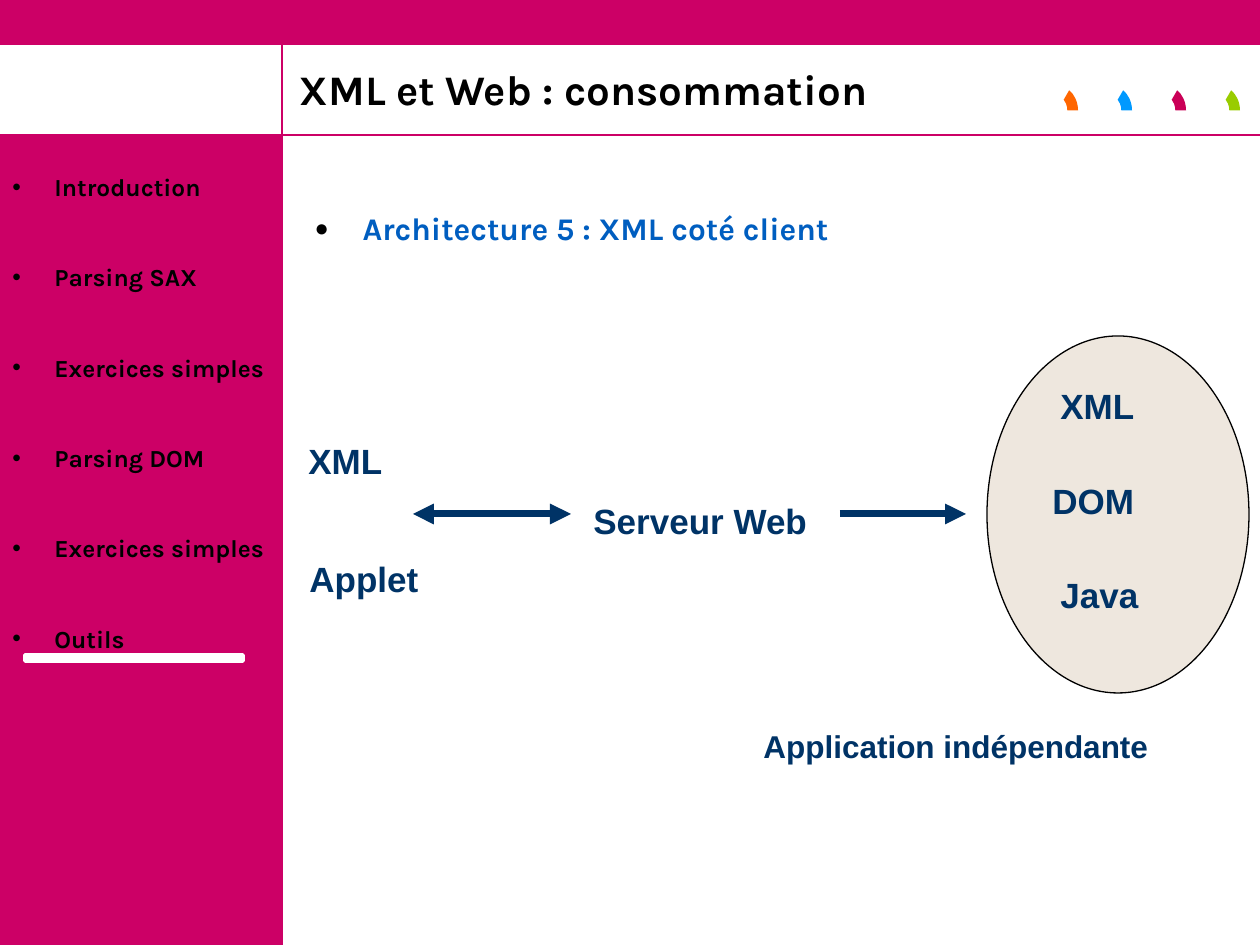
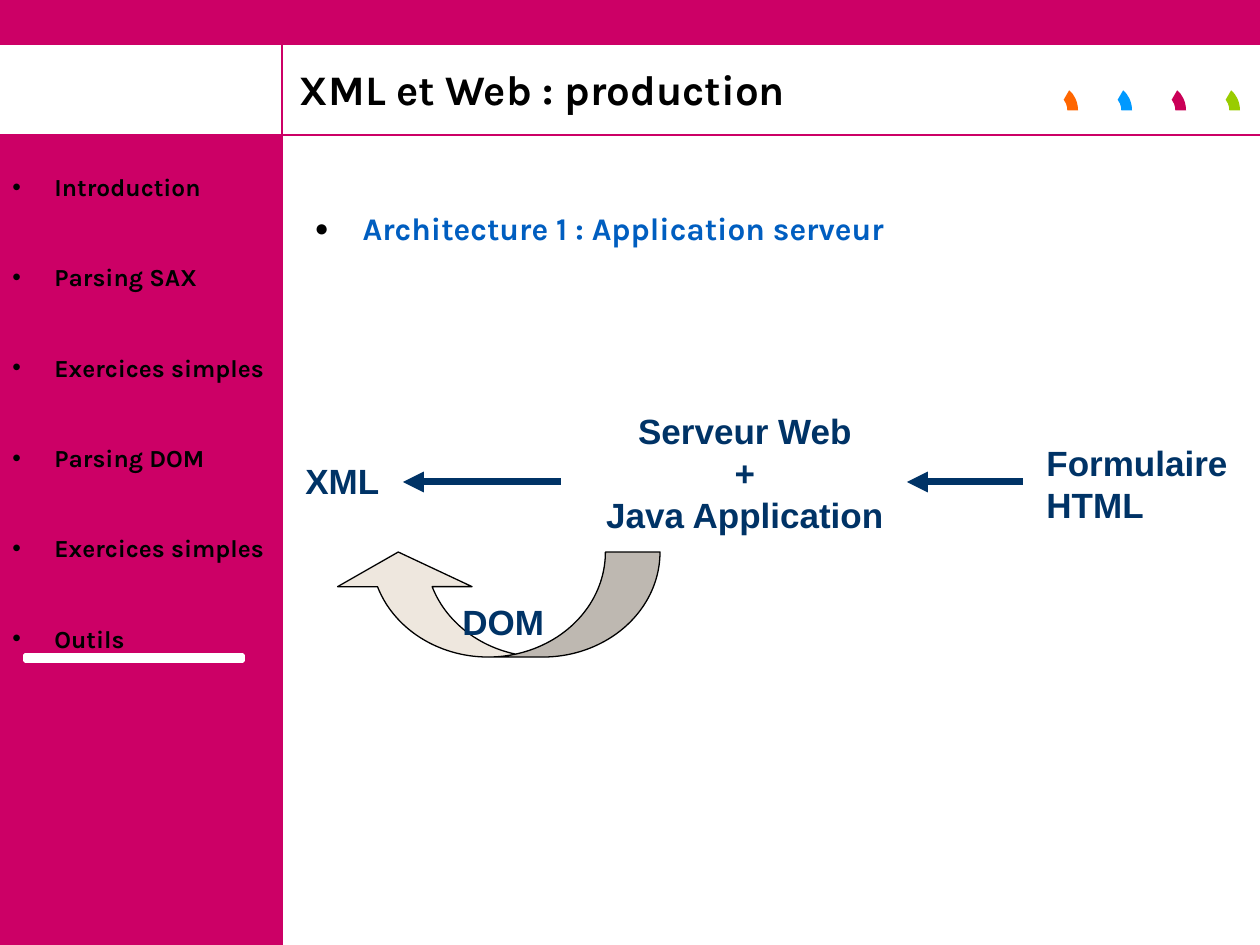
"""Build two course slides on XML and the Web with a shared magenta frame."""
from dataclasses import dataclass

from lxml import etree
from pptx import Presentation
from pptx.dml.color import RGBColor
from pptx.enum.shapes import MSO_CONNECTOR, MSO_SHAPE
from pptx.enum.text import MSO_ANCHOR, MSO_AUTO_SIZE, PP_ALIGN
from pptx.oxml.ns import qn
from pptx.util import Emu, Pt

RECT, OVAL = MSO_SHAPE.RECTANGLE, MSO_SHAPE.OVAL
ARC, CURVED_ARROW = MSO_SHAPE.BLOCK_ARC, MSO_SHAPE.CURVED_LEFT_ARROW
STRAIGHT = MSO_CONNECTOR.STRAIGHT
LEFT, CENTER = PP_ALIGN.LEFT, PP_ALIGN.CENTER
TOP, BOTTOM = MSO_ANCHOR.TOP, MSO_ANCHOR.BOTTOM
NO_FIT = MSO_AUTO_SIZE.NONE

PX_PER_INCH = 126
WIDTH, HEIGHT = 1260, 945
BAND_H, SIDEBAR_W, RULE_Y = 45, 282, 135
ARC_X, ARC_STEP = 1037, 54


@dataclass(frozen=True)
class Theme:
    """Colours, fonts and type sizes of the deck."""

    band: str = "CC0066"
    text: str = "000000"
    heading: str = "005EC0"
    diagram: str = "003366"
    shape: str = "EEE7DE"
    paper: str = "FFFFFF"
    arcs: tuple[str, ...] = ("FF6600", "0099FF", "CA0057", "99CC00")
    text_font: str = "Karla"
    diagram_font: str = "Arial"
    title_size: int = 24
    heading_size: int = 18
    menu_size: int = 14
    label_size: int = 20
    caption_size: int = 18
    hairline: float = 0.75
    arrow: int = 4


@dataclass(frozen=True)
class Box:
    """Position and size in px."""

    x: int
    y: int
    w: int
    h: int

    def emu(self) -> tuple[Emu, ...]:
        """Return the four lengths in EMU."""
        return px(self.x), px(self.y), px(self.w), px(self.h)


@dataclass(frozen=True)
class Bullet:
    """Bullet character, relative size and hanging indent in px."""

    char: str
    percent: int
    indent: int


@dataclass(frozen=True)
class Figure:
    """Preset shape of a diagram."""

    kind: int
    box: Box
    adjustments: tuple[float, ...] = ()
    rotation: int = 0


@dataclass(frozen=True)
class Label:
    """Lines of diagram text."""

    lines: tuple[str, ...]
    box: Box
    size: int = Theme.label_size
    align: int = LEFT


@dataclass(frozen=True)
class Arrow:
    """Horizontal arrow with a head at either end."""

    x1: int
    x2: int
    y: int
    at_start: bool = False
    at_end: bool = False


@dataclass(frozen=True)
class Page:
    """Content of one slide."""

    title: str
    heading: str
    figures: tuple[Figure, ...]
    labels: tuple[Label, ...]
    arrows: tuple[Arrow, ...]


THEME = Theme()
TITLE_BOX = Box(287, 60, 924, 61)
BODY_BOX = Box(302, 203, 932, 742)
MENU_BOX = Box(0, 166, 292, 509)
MENU_BULLET, BODY_BULLET = Bullet("•", 100, 42), Bullet("●", 75, 48)
MENU = ("Introduction", "Parsing SAX", "Exercices simples",
        "Parsing DOM", "Exercices simples", "Outils")

PAGES = (
    Page(
        "XML et Web : consommation",
        "Architecture 5 : XML coté client",
        (Figure(OVAL, Box(987, 336, 262, 357)),),
        (
            Label(("XML",), Box(296, 433, 100, 55)),
            Label(("Serveur Web",), Box(581, 493, 239, 55)),
            Label(("XML",), Box(1048, 378, 100, 55)),
            Label(("DOM",), Box(1040, 473, 107, 55)),
            Label(("Applet",), Box(297, 551, 134, 55)),
            Label(("Java",), Box(1048, 567, 103, 55)),
            Label(("Application indépendante",), Box(751, 721, 410, 50),
                  THEME.caption_size),
        ),
        (Arrow(413, 571, 514, True, True), Arrow(840, 966, 514, at_end=True)),
    ),
    Page(
        "XML et Web : production",
        "Architecture 1 : Application serveur",
        (Figure(CURVED_ARROW, Box(443, 440, 105, 329), (0.52, 1.28, 0.33), 90),),
        (
            Label(("XML",), Box(293, 453, 100, 55)),
            Label(("Serveur Web", "+", "Java Application"),
                  Box(593, 403, 304, 139), align=CENTER),
            Label(("Formulaire", "HTML"), Box(1034, 435, 207, 97)),
            Label(("DOM",), Box(450, 594, 107, 55)),
        ),
        (Arrow(403, 561, 482, True), Arrow(907, 1023, 482, True)),
    ),
)


def px(n: int) -> Emu:
    """Turn px into EMU."""
    return Emu(round(n * 914400 / PX_PER_INCH))


def rgb(color: str) -> RGBColor:
    """Turn a hex string into a colour."""
    return RGBColor.from_string(color)


def add_bullet(p, bullet: Bullet) -> None:
    """Give a paragraph a bullet with a hanging indent."""
    pPr = p._p.get_or_add_pPr()
    pPr.set("marL", str(px(bullet.indent)))
    pPr.set("indent", str(-px(bullet.indent)))
    color = etree.SubElement(pPr, qn("a:buClr"))
    etree.SubElement(color, qn("a:srgbClr"), val=THEME.text)
    etree.SubElement(pPr, qn("a:buSzPct"), val=str(bullet.percent * 1000))
    etree.SubElement(pPr, qn("a:buFont"), typeface=THEME.diagram_font)
    etree.SubElement(pPr, qn("a:buChar"), char=bullet.char)


def write(tf, lines: tuple[str, ...], *, font: str, size: int, color: str,
          align: int = LEFT, anchor: int = TOP, wrap: bool = True,
          gap: float = 0, spacing: float = 1.0,
          bullet: Bullet | None = None) -> None:
    """Fill a text frame with bold lines in one format."""
    tf.word_wrap, tf.auto_size, tf.vertical_anchor = wrap, NO_FIT, anchor
    for i, line in enumerate(lines):
        p = tf.add_paragraph() if i else tf.paragraphs[0]
        p.alignment, p.line_spacing = align, spacing
        p.space_before = Pt(gap if i else 0)
        if bullet:
            add_bullet(p, bullet)
        r = p.add_run()
        r.text = line
        r.font.name, r.font.size, r.font.bold = font, Pt(size), True
        r.font.color.rgb = rgb(color)


def add_figure(s, figure: Figure, fill: str, line: str | None = None,
               width: float = THEME.hairline) -> None:
    """Draw a filled preset shape."""
    sp = s.shapes.add_shape(figure.kind, *figure.box.emu())
    sp.shadow.inherit = False
    sp.rotation = figure.rotation
    for i, value in enumerate(figure.adjustments):
        sp.adjustments[i] = value
    sp.fill.solid()
    sp.fill.fore_color.rgb = rgb(fill)
    if line:
        sp.line.color.rgb = rgb(line)
        sp.line.width = Pt(width)
    else:
        sp.line.fill.background()


def add_line(s, x1: int, y1: int, x2: int, y2: int, color: str, width: float,
             at_start: bool = False, at_end: bool = False) -> None:
    """Draw a straight line with optional arrowheads."""
    cxn = s.shapes.add_connector(STRAIGHT, px(x1), px(y1), px(x2), px(y2))
    cxn.line.color.rgb = rgb(color)
    cxn.line.width = Pt(width)
    spPr = cxn.element.spPr
    for tag, wanted in (("a:headEnd", at_start), ("a:tailEnd", at_end)):
        if wanted:
            etree.SubElement(spPr.find(qn("a:ln")), qn(tag), type="triangle")
    etree.SubElement(spPr, qn("a:effectLst"))


def add_text(s, box: Box, lines: tuple[str, ...], **style) -> None:
    """Add a text box with formatted lines."""
    write(s.shapes.add_textbox(*box.emu()).text_frame, lines, **style)


def draw_frame(s) -> None:
    """Draw the bands, rules, arcs and menu shared by all slides."""
    for box in (Box(0, RULE_Y, SIDEBAR_W, HEIGHT - RULE_Y),
                Box(0, 0, WIDTH, BAND_H)):
        add_figure(s, Figure(RECT, box), THEME.band)
    add_line(s, 0, RULE_Y, WIDTH, RULE_Y, THEME.band, THEME.hairline)
    add_line(s, SIDEBAR_W, 0, SIDEBAR_W, HEIGHT, THEME.band, THEME.hairline)
    for i, color in enumerate(THEME.arcs):
        box = Box(ARC_X + i * ARC_STEP, 86, 41, 49)
        add_figure(s, Figure(ARC, box, (180, 0, 0.26)), color)
    add_text(s, MENU_BOX, MENU, font=THEME.text_font, size=THEME.menu_size,
             color=THEME.text, gap=34.8, bullet=MENU_BULLET)
    add_figure(s, Figure(RECT, Box(25, 655, 218, 6)), THEME.paper, THEME.paper, 2)


def set_up_layout(layout, s) -> None:
    """Move the frame to the layout and place its title and body."""
    for sp in list(layout.placeholders):
        idx = sp.placeholder_format.idx
        if idx > 1:
            sp.element.getparent().remove(sp.element)
            continue
        box = BODY_BOX if idx else TITLE_BOX
        sp.left, sp.top, sp.width, sp.height = box.emu()
    draw_frame(s)
    tree = layout.element.cSld.spTree
    for sp in list(s.shapes):
        if not sp.is_placeholder:
            tree.append(sp.element)


def draw_page(s, page: Page) -> None:
    """Write the title and heading and draw the diagram."""
    write(s.shapes.title.text_frame, (page.title,), font=THEME.text_font,
          size=THEME.title_size, color=THEME.text, anchor=BOTTOM, spacing=0.9)
    write(s.placeholders[1].text_frame, (page.heading,), font=THEME.text_font,
          size=THEME.heading_size, color=THEME.heading, bullet=BODY_BULLET)
    for figure in page.figures:
        add_figure(s, figure, THEME.shape, THEME.text)
    for label in page.labels:
        add_text(s, label.box, label.lines, font=THEME.diagram_font,
                 size=label.size, color=THEME.diagram, align=label.align, wrap=False)
    for arrow in page.arrows:
        add_line(s, arrow.x1, arrow.y, arrow.x2, arrow.y, THEME.diagram,
                 THEME.arrow, arrow.at_start, arrow.at_end)


def main() -> None:
    """Build and save the deck."""
    prs = Presentation()
    prs.slide_width, prs.slide_height = px(WIDTH), px(HEIGHT)
    layout = prs.slide_layouts[1]
    slides = [prs.slides.add_slide(layout) for _ in PAGES]
    set_up_layout(layout, slides[0])
    for s, page in zip(slides, PAGES):
        draw_page(s, page)
    prs.save("out.pptx")


if __name__ == "__main__":
    main()
